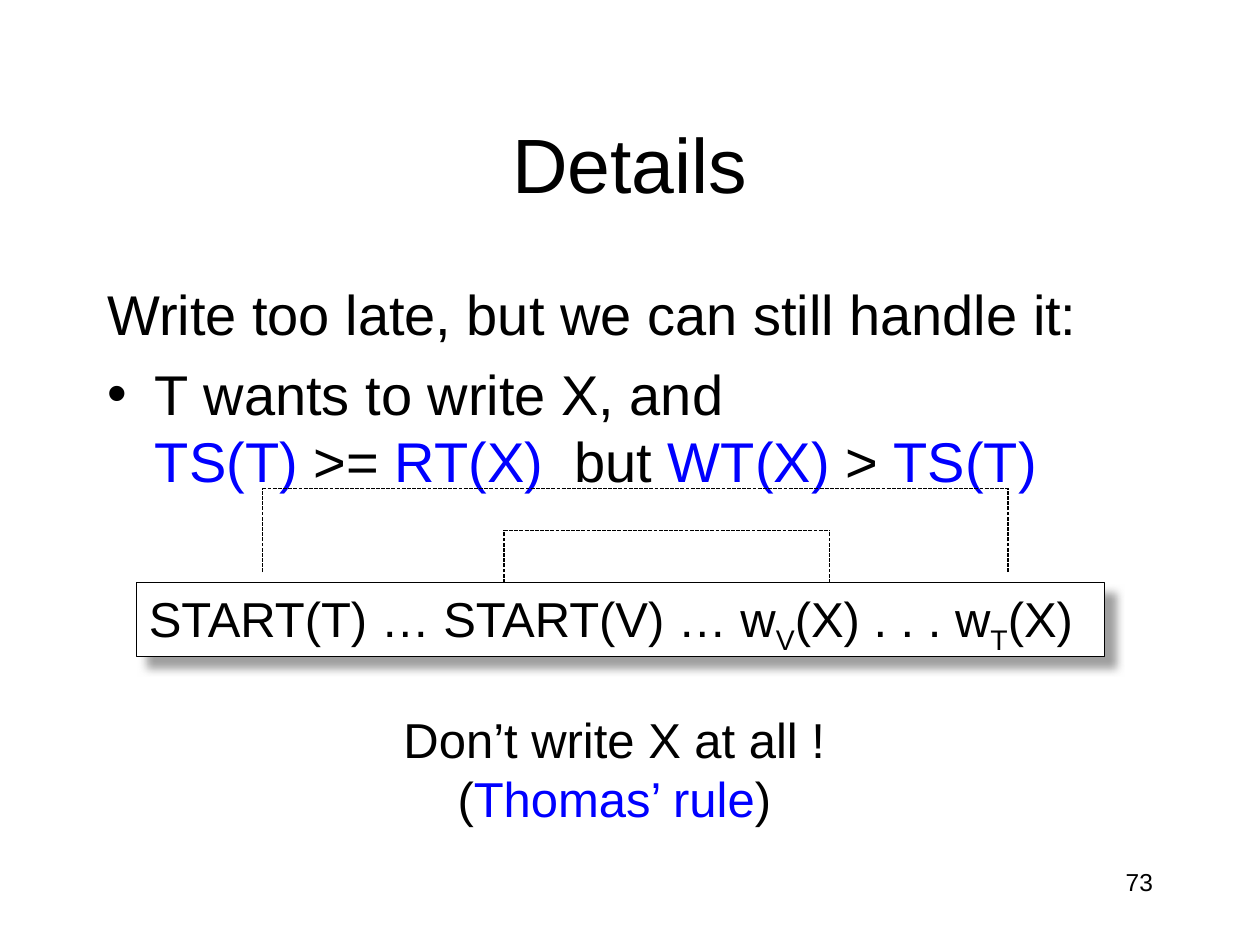
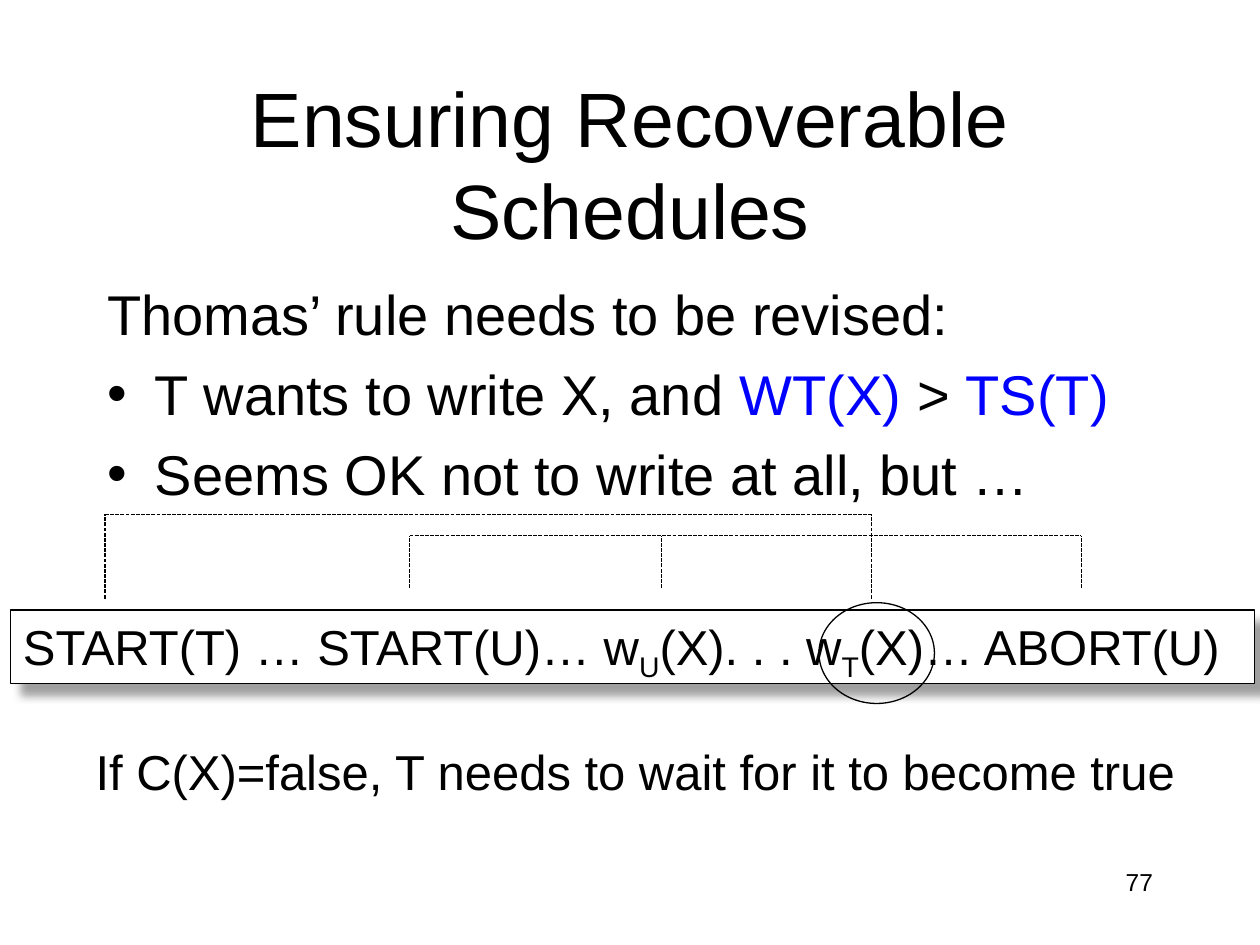
from pptx import Presentation, util as u
from pptx.dml import color
from pptx.enum import dml, shapes, text
from pptx.oxml import parse_xml
from pptx.oxml.ns import nsdecls
from lxml import etree

COLS, ROWS = 120, 90
INK = color.RGBColor(0, 0, 0)


class Theme:
    font, ink, blue = "Arial", INK, color.RGBColor(0, 0, 255)
    paper = color.RGBColor(255, 255, 255)
    title, body, note, num = 44, 32, 28, 14
    gap = u.Pt(7.4)
    hang = u.Inches(0.38)
    line = u.Pt(0.75)


deck = Presentation()
deck.slide_width, deck.slide_height = u.Inches(10), u.Inches(7.5)
CELL_W, CELL_H = deck.slide_width / COLS, deck.slide_height / ROWS

TITLE = (9, 8, 102, 15)
NUMBER = (86, 82, 25, 6)


def put(obj, **fmt):
    for key, val in fmt.items():
        setattr(obj, key, val)


def cells(x, y, w, h):
    """Turn grid columns and rows into lengths."""
    return [int(x * CELL_W), int(y * CELL_H), int(w * CELL_W), int(h * CELL_H)]


def place(shape, box):
    put(shape, **dict(zip(("left", "top", "width", "height"), cells(*box))))


def write(par, words, size, sub=False):
    """Every second part between bars is blue, or lowered if sub is set."""
    for i, part in enumerate(words.split("|")):
        for j, line in enumerate(part.split("\n")):
            if j:
                par.add_line_break()
            if not line:
                continue
            run = par.add_run()
            run.text = line
            put(run.font, name=Theme.font, size=u.Pt(size))
            odd = i % 2 == 1
            run.font.color.rgb = Theme.blue if odd and not sub else Theme.ink
            if odd and sub:
                run.font._element.set("baseline", "-25000")


def fill(shape, lines, size, align, sub=False, **frame):
    """Write lines as paragraphs and yield each one."""
    body = shape.text_frame
    put(body, **{"word_wrap": True, "auto_size": text.MSO_AUTO_SIZE.NONE, **frame})
    pars = []
    for i, words in enumerate(lines):
        par = body.add_paragraph() if i else body.paragraphs[0]
        put(par, alignment=align, space_before=u.Pt(0))
        write(par, words, size, sub)
        pars.append(par)
    return pars


def pen(shape):
    put(shape.line, width=Theme.line)
    shape.line.color.rgb = Theme.ink


def frame(title, points, rows, number):
    """Title, lead line with bullets, and page number."""
    slide = deck.slides.add_slide(deck.slide_layouts[1])
    head, body = slide.placeholders
    place(head, TITLE)
    fill(head, [title], Theme.title, text.PP_ALIGN.CENTER,
         vertical_anchor=text.MSO_ANCHOR.MIDDLE)
    place(body, (9, 26, 102, rows))
    pars = fill(body, points, Theme.body, text.PP_ALIGN.LEFT)
    for i, par in enumerate(pars):
        props = par._p.get_or_add_pPr()
        props.set("marL", str(Theme.hang))
        props.set("indent", str(-Theme.hang))
        if i:
            par.space_before = Theme.gap
        else:
            props.append(parse_xml(f"<a:buNone {nsdecls('a')}/>"))
    page = slide.shapes.add_textbox(*cells(*NUMBER))
    fill(page, [number], Theme.num, text.PP_ALIGN.RIGHT)
    return slide


def strip(slide, box, words):
    """Schedule box with a soft shadow."""
    bar = slide.shapes.add_shape(shapes.MSO_SHAPE.RECTANGLE, *cells(*box))
    bar.shadow.inherit = False
    bar.fill.solid()
    bar.fill.fore_color.rgb = Theme.paper
    pen(bar)
    glow = bar._element.spPr.find("{*}effectLst")
    glow.append(parse_xml(
        f'<a:outerShdw {nsdecls("a")} blurRad="{u.Pt(5)}" dist="{u.Pt(8.5)}" '
        'dir="2700000" algn="ctr" rotWithShape="0"><a:srgbClr val="808080">'
        '<a:alpha val="75000"/></a:srgbClr></a:outerShdw>'))
    fill(bar, [words], Theme.note, text.PP_ALIGN.LEFT, sub=True,
         vertical_anchor=text.MSO_ANCHOR.TOP)


def note(slide, box, lines):
    """Closing remark."""
    area = slide.shapes.add_textbox(*cells(*box))
    fill(area, lines, Theme.note, text.PP_ALIGN.CENTER, word_wrap=False)


def span(slide, box, feet):
    """Dashed bracket: a bar on top, one leg at each share of its width."""
    x, y, w, h = cells(*box)
    group = slide.shapes.add_group_shape()
    ends = [(x, y, x + w, y)]
    ends += [(x + int(w * f), y + h, x + int(w * f), y) for f in feet]
    for end in ends:
        link = group.shapes.add_connector(shapes.MSO_CONNECTOR.STRAIGHT, *end)
        pen(link)
        link.line.dash_style = dml.MSO_LINE.SQUARE_DOT
        props = link._element.spPr
        etree.SubElement(props, props.nsmap["a"].join("{}") + "effectLst")


def ring(slide, box):
    """Open circle around one step."""
    mark = slide.shapes.add_shape(shapes.MSO_SHAPE.OVAL, *cells(*box))
    mark.shadow.inherit = False
    mark.fill.background()
    pen(mark)


def late():
    slide = frame("Details", [
        "Write too late, but we can still handle it:",
        "T wants to write X, and \n|TS(T)| >= |RT(X)|  but |WT(X)| > |TS(T)|",
    ], 22, "73")
    strip(slide, (13, 55.5, 92.2, 7),
          "START(T) … START(V) … w|V|(X) . . . w|T|(X)")
    note(slide, (37.2, 67, 42.6, 12.4),
         ["Don’t write X at all !", "(|Thomas’ rule|)"])
    span(slide, (25, 46.5, 71, 8), (0, 1))
    span(slide, (48, 50.5, 31, 5), (0, 1))


def safe():
    slide = frame("Ensuring Recoverable Schedules", [
        "Thomas’ rule needs to be revised:",
        "T wants to write X, and |WT(X)| > |TS(T)|",
        "Seems OK not to write at all, but …",
    ], 54, "77")
    strip(slide, (1, 58.1, 118.5, 7),
          "START(T) … START(U)… w|U|(X). . . w|T|(X)… ABORT(U)")
    note(slide, (7.7, 70, 105.6, 6.9),
         ["If C(X)=false, T needs to wait for it to become true"])
    ring(slide, (78, 57.4, 11, 9.6))
    span(slide, (39, 51, 64, 5), (0, 3 / 8, 1))
    span(slide, (10, 49, 73, 8), (0, 1))


def main():
    late()
    safe()
    deck.save("out.pptx")


if __name__ == "__main__":
    main()
